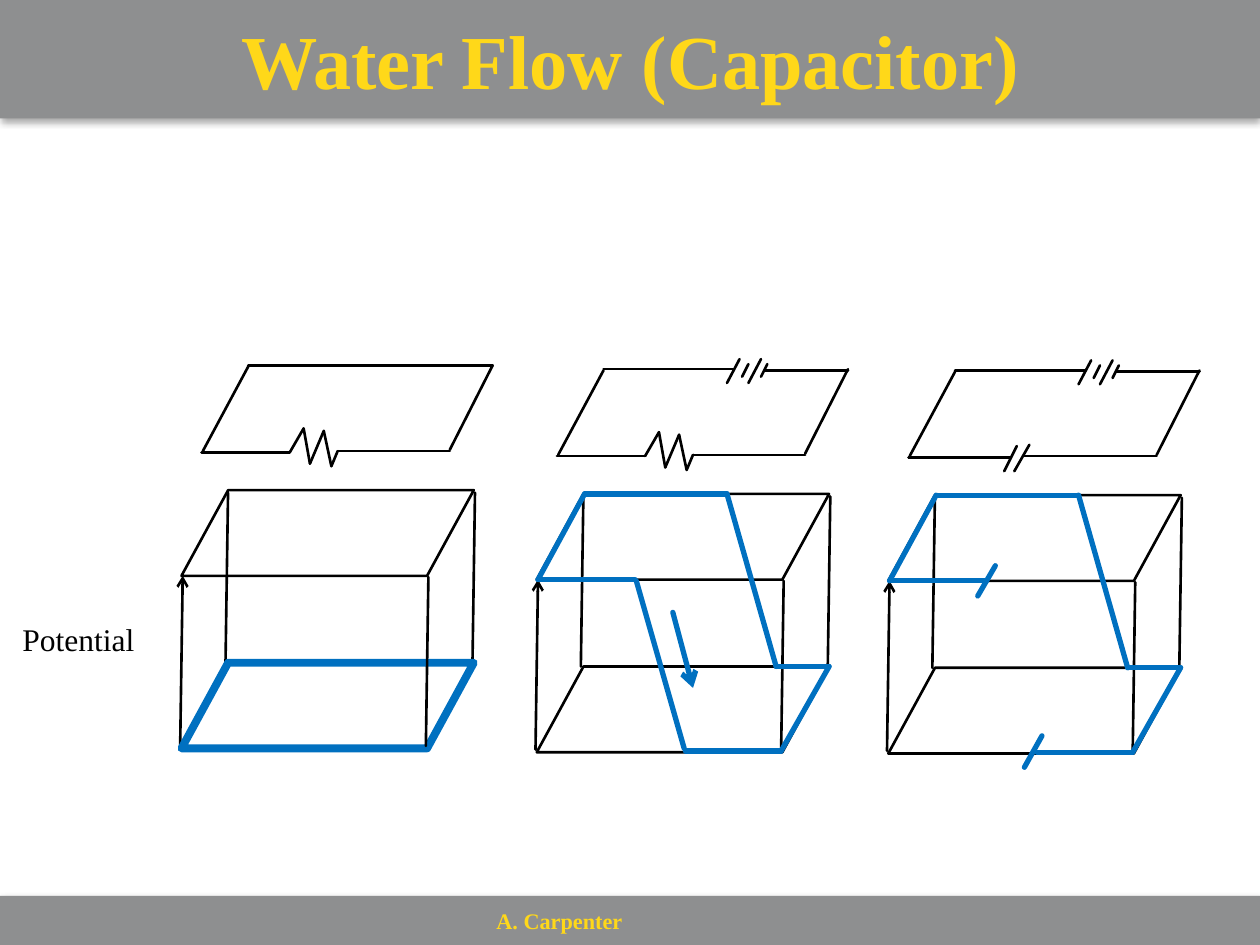
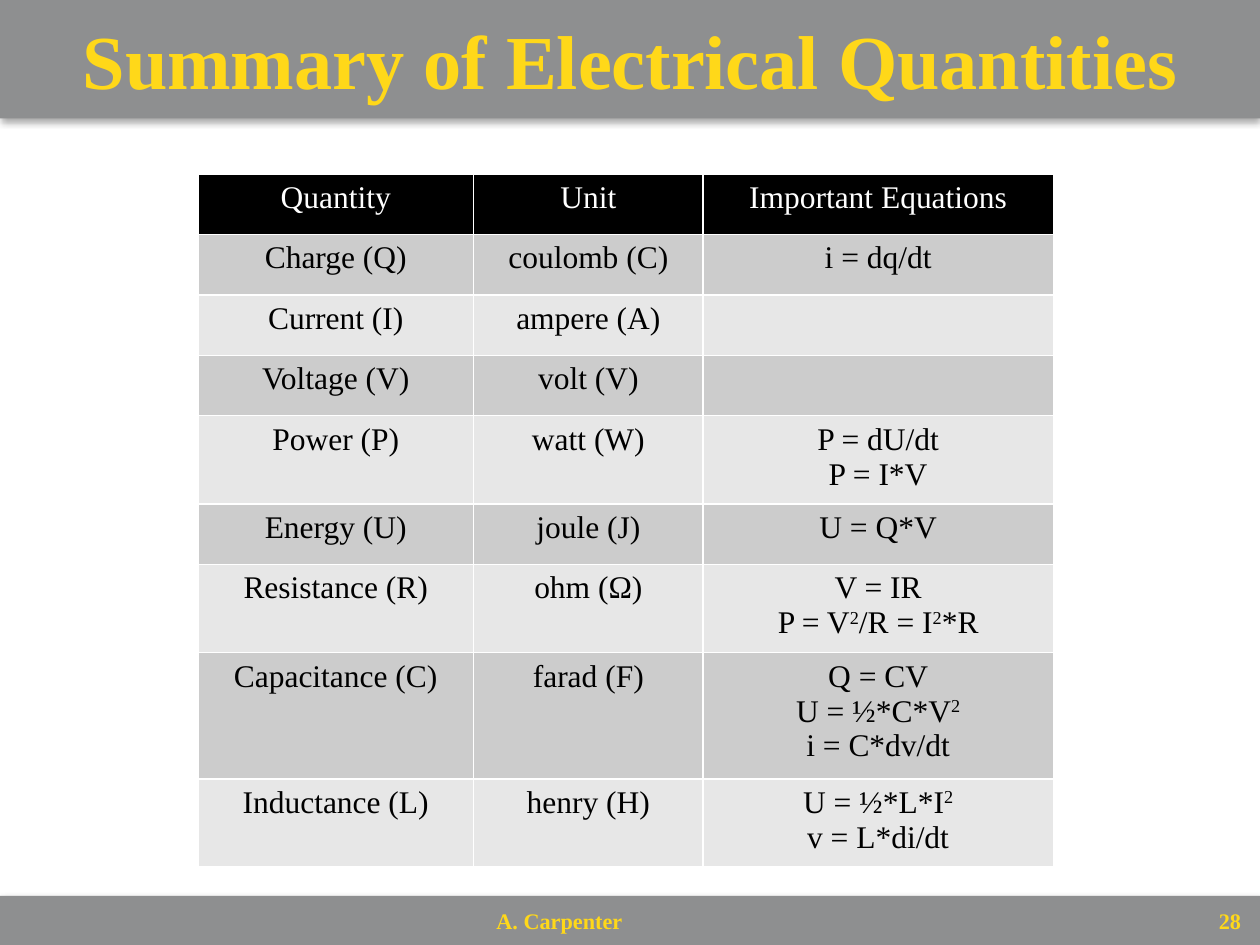
from itertools import groupby, pairwise

from lxml import etree
from pptx import Presentation
from pptx import util as u
from pptx.dml.color import RGBColor
from pptx.enum import shapes, text
from pptx.oxml import ns

GREY = RGBColor(0x8E, 0x8F, 0x90)
GOLD = RGBColor(0xFF, 0xD8, 0x19)
BLACK = RGBColor(0, 0, 0)
WHITE = RGBColor(0xFF, 0xFF, 0xFF)
WATER = RGBColor(0x00, 0x70, 0xC0)
DARK_ROW = RGBColor(0xCC, 0xCC, 0xCC)
LIGHT_ROW = RGBColor(0xE7, 0xE7, 0xE7)

TITLE = {"size": u.Pt(43.6), "bold": True, "color": GOLD}
FOOTER = {"size": u.Pt(12.7), "bold": True, "color": GOLD}
BODY = {"size": u.Pt(18), "bold": False, "color": BLACK}
HEADER = BODY | {"color": WHITE}

THIN, THICK = 1.5, 3

# Circuit and tank parts, in inches from the top left corner of the tank
POSTS = [((2.31, 1.36), (2.33, 0.02)), ((0.35, 1.37), (0.37, 0.02))]
FRONT_POST = ((1.94, 2.03), (1.96, 0.69))
POTENTIAL_ARROW = ((-0.01, 2.03), (0.01, 0.68))
CIRCUIT_SIDES = [((0.17, -0.31), (0.53, -0.98)), ((2.13, -0.32), (2.47, -0.99))]
PLAIN_TOP = [((0.53, -0.99), (2.47, -0.99))]
BATTERY_TOP = [
    ((0.53, -0.99), (1.56, -0.99)), ((1.81, -0.98), (2.47, -0.98)),
    ((1.51, -0.88), (1.61, -1.07)), ((1.68, -0.88), (1.78, -1.07)),
    ((1.63, -0.93), (1.68, -1.03)), ((1.78, -0.93), (1.83, -1.03)),
]
RESISTOR_BOTTOM = list(pairwise([
    (0.16, -0.3), (0.86, -0.3), (0.97, -0.49), (1.02, -0.21),
    (1.13, -0.47), (1.19, -0.19), (1.24, -0.31), (2.13, -0.31),
]))
CAPACITOR_BOTTOM = [
    ((0.16, -0.3), (0.97, -0.3)), ((1.08, -0.31), (2.13, -0.31)),
    ((0.92, -0.19), (1.02, -0.39)), ((1, -0.19), (1.12, -0.4)),
]
WATER_PATH = list(pairwise([
    (0.78, 0.68), (0.01, 0.68), (0.38, 0), (1.51, 0), (1.9, 1.37),
    (2.32, 1.37), (1.94, 2.04), (1.18, 2.04),
]))
WATERFALL = [((0.79, 0.69), (1.17, 2.02))]
FLOW_ARROW = ((1.08, 0.94), (1.24, 1.54))
WATER_PLATES = [((0.71, 0.8), (0.85, 0.56)), ((1.08, 2.16), (1.22, 1.91))]

QUANTITIES = [
    ("Quantity", "Unit", "Important Equations"),
    ("Charge (Q)", "coulomb (C)", "i = dq/dt"),
    ("Current (I)", "ampere (A)", ""),
    ("Voltage (V)", "volt (V)", ""),
    ("Power (P)", "watt (W)", "P = dU/dt\nP = I*V"),
    ("Energy (U)", "joule (J)", "U = Q*V"),
    ("Resistance (R)", "ohm (Ω)", "V = IR\nP = V²/R = I²*R"),
    ("Capacitance (C)", "farad (F)", "Q = CV\nU = ½*C*V²\ni = C*dv/dt"),
    ("Inductance (L)", "henry (H)", "U = ½*L*I²\nv = L*di/dt"),
]
COLUMN_WIDTHS = [2.19, 1.82, 2.78]
ROW_HEIGHTS = {1: 0.48, 2: 0.62, 3: 0.86}


def inches(*lengths):
    return [u.Inches(length) for length in lengths]


def add_xml(parent, tag, **attributes):
    return etree.SubElement(parent, ns.qn(tag), attributes)


def write(frame, content, style, align=text.PP_ALIGN.LEFT):
    """Fill a text frame; each ² becomes a raised 2."""
    for index, line in enumerate(content.split("\n")):
        para = frame.add_paragraph() if index else frame.paragraphs[0]
        para.alignment = align
        for raised, letters in groupby(line, lambda letter: letter == "²"):
            span = para.add_run()
            span.text = "2" if raised else "".join(letters)
            span.font.name = "Times New Roman"
            for name, value in style.items():
                if name == "color":
                    span.font.color.rgb = value
                else:
                    setattr(span.font, name, value)
            if raised:
                span.font._element.set("baseline", "30000")


def set_frame(frame, inset, wrap=True, anchor=text.MSO_ANCHOR.MIDDLE):
    frame.word_wrap = wrap
    frame.vertical_anchor = anchor
    for side in ("left", "top", "right", "bottom"):
        setattr(frame, f"margin_{side}", u.Inches(inset))


def add_text(page, box, content, style, inset, align=text.PP_ALIGN.LEFT, **layout):
    frame = page.shapes.add_textbox(*inches(*box)).text_frame
    set_frame(frame, inset, **layout)
    write(frame, content, style, align)


def add_band(page, box):
    band = page.shapes.add_shape(shapes.MSO_SHAPE.RECTANGLE, *inches(*box))
    band.fill.solid()
    band.fill.fore_color.rgb = GREY
    band.line.fill.background()
    band.shadow.inherit = False
    effects = band._element.spPr.find(ns.qn("a:effectLst"))
    shadow = add_xml(effects, "a:outerShdw", blurRad=str(u.Pt(4)), dist=str(u.Pt(2)),
                     dir="5400000", algn="t", rotWithShape="0")
    add_xml(add_xml(shadow, "a:srgbClr", val="000000"), "a:alpha", val="35000")
    return band


def add_page(deck, title):
    page = deck.slides.add_slide(deck.slide_layouts[6])
    add_band(page, (0, 7.11, 10.01, 0.39))
    add_text(page, (3.89, 7.15, 2.23, 0.31), "A. Carpenter", FOOTER, 0.05)
    frame = add_band(page, (0, 0, 10, 0.94)).text_frame
    set_frame(frame, 0.07)
    write(frame, title, TITLE, text.PP_ALIGN.CENTER)
    return page


class Scene:
    """A circuit above its water tank, grouped and placed from the tank's corner."""

    def __init__(self, page, left, top):
        self.group = page.shapes.add_group_shape()
        self.left, self.top = left, top

    def lines(self, segments, color=BLACK, width=THIN, arrow=False):
        for (x1, y1), (x2, y2) in segments:
            wire = self.group.shapes.add_connector(
                shapes.MSO_CONNECTOR.STRAIGHT,
                *inches(self.left + x1, self.top + y1, self.left + x2, self.top + y2))
            self.stroke(wire, color, width)
            if arrow:
                add_xml(wire.line._get_or_add_ln(), "a:tailEnd", type="arrow")
            add_xml(wire._element.spPr, "a:effectLst")

    def level(self, drop, color=BLACK, width=THIN):
        plane = self.group.shapes.add_shape(
            shapes.MSO_SHAPE.PARALLELOGRAM,
            *inches(self.left, self.top + drop, 2.32, 0.68))
        plane.adjustments[0] = 0.545
        plane.fill.background()
        plane.shadow.inherit = False
        self.stroke(plane, color, width)

    def stroke(self, shape, color, width):
        shape.line.color.rgb = color
        shape.line.width = u.Pt(width)
        line = shape.line._get_or_add_ln()
        line.set("cap", "rnd")
        add_xml(line, "a:round")

    def tank(self, flooded=False):
        self.lines([POTENTIAL_ARROW], arrow=True)
        self.lines(POSTS)
        self.level(0)
        self.level(1.37)
        if flooded:
            self.level(1.37, WATER, 4.5)
        self.lines([FRONT_POST])


def build_capacitor_page(deck):
    page = add_page(deck, "Water Flow (Capacitor)")

    # Resistor alone: water lies at the bottom
    idle = Scene(page, 1.44, 3.89)
    idle.tank(flooded=True)
    idle.lines(CIRCUIT_SIDES + PLAIN_TOP + RESISTOR_BOTTOM)
    add_text(page, (0.08, 4.82, 1.45, 0.53), "Potential", BODY, 0.1,
             wrap=False, anchor=text.MSO_ANCHOR.TOP)

    # Battery and resistor: water falls through
    flowing = Scene(page, 4.26, 3.92)
    flowing.tank()
    flowing.lines(CIRCUIT_SIDES + BATTERY_TOP + RESISTOR_BOTTOM)
    flowing.lines(WATER_PATH + WATERFALL, WATER, THICK)
    flowing.lines([FLOW_ARROW], WATER, THICK, arrow=True)

    # Battery and capacitor: water stops at the plates
    charged = Scene(page, 7.05, 3.93)
    charged.tank()
    charged.lines(CIRCUIT_SIDES + BATTERY_TOP + CAPACITOR_BOTTOM)
    charged.lines(WATER_PATH + WATER_PLATES, WATER, THICK)


def format_cell(cell, content, fill, style):
    properties = cell._tc.get_or_add_tcPr()
    for side in "LRTB":
        border = add_xml(properties, f"a:ln{side}", w=str(u.Pt(1)))
        add_xml(add_xml(border, "a:solidFill"), "a:srgbClr", val=str(WHITE))
    cell.fill.solid()
    cell.fill.fore_color.rgb = fill
    write(cell.text_frame, content, style, text.PP_ALIGN.CENTER)


def add_quantity_table(page, left, top):
    heights = [ROW_HEIGHTS[row[-1].count("\n") + 1] for row in QUANTITIES]
    table = page.shapes.add_table(
        len(heights), len(COLUMN_WIDTHS),
        *inches(left, top, sum(COLUMN_WIDTHS), sum(heights))).table
    for column, width in zip(table.columns, COLUMN_WIDTHS):
        column.width = u.Inches(width)
    for index, (row, height) in enumerate(zip(table.rows, heights)):
        row.height = u.Inches(height)
        fill = (DARK_ROW if index % 2 else LIGHT_ROW) if index else BLACK
        for cell, content in zip(row.cells, QUANTITIES[index]):
            format_cell(cell, content, fill, BODY if index else HEADER)


def build_summary_page(deck):
    page = add_page(deck, "Summary of Electrical Quantities")
    add_text(page, (9.57, 7.13, 0.35, 0.36), "28", FOOTER, 0.07,
             text.PP_ALIGN.RIGHT, wrap=False)
    add_quantity_table(page, 1.57, 1.38)


def main():
    deck = Presentation()
    deck.slide_width, deck.slide_height = inches(10, 7.5)
    build_capacitor_page(deck)
    build_summary_page(deck)
    deck.save("out.pptx")


if __name__ == "__main__":
    main()
